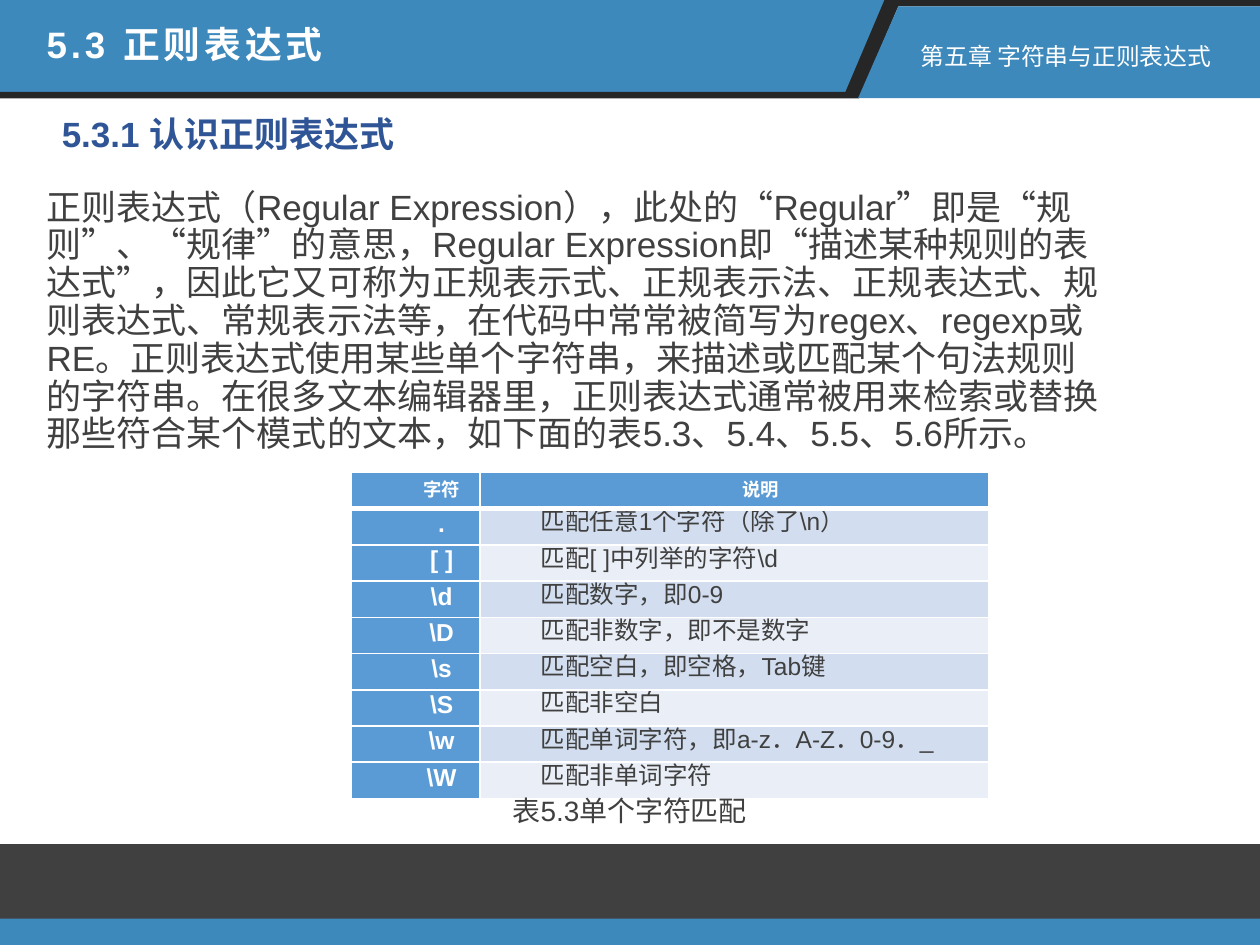
from lxml.etree import SubElement
from pptx import Presentation
from pptx.dml.color import RGBColor
from pptx.enum.shapes import MSO_SHAPE
from pptx.enum.text import MSO_ANCHOR, MSO_AUTO_SIZE, PP_ALIGN
from pptx.oxml.ns import qn
from pptx.util import Inches, Pt

COLORS = {
    "blue": "3D89BC", "black": "262626", "gray": "404040", "white": "FFFFFF",
    "heading": "2F5597", "key": "5B9BD5", "odd": "D2DEEF", "even": "EAEFF7",
}
FONT = "Arial"

BODY = (
    "正则表达式（Regular Expression），此处的“Regular”即是“规则”、“规律”的意思，"
    "Regular Expression即“描述某种规则的表达式”，因此它又可称为正规表示式、正规表示法、"
    "正规表达式、规则表达式、常规表示法等，在代码中常常被简写为regex、regexp或RE。"
    "正则表达式使用某些单个字符串，来描述或匹配某个句法规则的字符串。"
    "在很多文本编辑器里，正则表达式通常被用来检索或替换那些符合某个模式的文本，"
    "如下面的表5.3、5.4、5.5、5.6所示。"
)
ROWS = [
    ("字符", "说明"),
    (".", "匹配任意1个字符（除了\\n）"),
    ("[ ]", "匹配[ ]中列举的字符\\d"),
    ("\\d", "匹配数字，即0-9"),
    ("\\D", "匹配非数字，即不是数字"),
    ("\\s", "匹配空白，即空格，Tab键"),
    ("\\S", "匹配非空白"),
    ("\\w", "匹配单词字符，即a-z．A-Z．0-9．_"),
    ("\\W", "匹配非单词字符"),
]


def rgb(name):
    return RGBColor.from_string(COLORS[name])


def paint(shape, color):
    shape.shadow.inherit = False
    shape.fill.solid()
    shape.fill.fore_color.rgb = rgb(color)
    shape.line.fill.background()


def add_outline(slide, points, color):
    start, *rest = [(Inches(x), Inches(y)) for x, y in points]
    builder = slide.shapes.build_freeform(*start)
    builder.add_line_segments(rest, close=True)
    paint(builder.convert_to_shape(), color)


def add_band(slide, top, height, color):
    band = slide.shapes.add_shape(
        MSO_SHAPE.RECTANGLE, 0, Inches(top), Inches(10), Inches(height))
    paint(band, color)


def place(shape, left, top, width, height):
    shape.left, shape.top = Inches(left), Inches(top)
    shape.width, shape.height = Inches(width), Inches(height)


def write(paragraph, text, size, color, bold=False, align=PP_ALIGN.LEFT,
          margin=0, indent=0):
    paragraph.text = text
    paragraph.alignment = align
    font = paragraph.font
    font.name, font.size, font.bold = FONT, Pt(size), bold
    font.color.rgb = rgb(color)
    properties = paragraph._p.get_or_add_pPr()
    properties.set("marL", str(Inches(margin)))
    properties.set("indent", str(Inches(indent)))


def remove_bullet(paragraph):
    properties = paragraph._p.get_or_add_pPr()
    bullet = SubElement(properties, qn("a:buNone"))
    properties.find(qn("a:defRPr")).addprevious(bullet)


def add_label(slide, box, text, size, color, indent=0):
    label = slide.shapes.add_textbox(*map(Inches, box))
    frame = label.text_frame
    frame.word_wrap = True
    frame.vertical_anchor = MSO_ANCHOR.MIDDLE
    write(frame.paragraphs[0], text, size, color, indent=indent)


def fill_title(slide):
    title = slide.shapes.title
    place(title, 0.27, 0.12, 3.91, 0.45)
    frame = title.text_frame
    frame.auto_size = MSO_AUTO_SIZE.NONE
    frame.vertical_anchor = MSO_ANCHOR.TOP
    paragraph = frame.paragraphs[0]
    write(paragraph, "5.3 正则表达式", 21, "white", bold=True)
    paragraph.runs[0].font._element.set("spc", "220")


def fill_body(slide):
    body = slide.placeholders[1]
    place(body, 0.27, 0.95, 8.62, 5.83)
    frame = body.text_frame
    frame.auto_size = MSO_AUTO_SIZE.NONE
    heading, text = frame.paragraphs[0], frame.add_paragraph()
    write(heading, "5.3.1 认识正则表达式", 20, "heading", bold=True, margin=0.12)
    write(text, BODY, 20, "gray")
    heading.line_spacing, text.line_spacing = Pt(16.5), 0.9
    heading.space_after, text.space_after = Pt(10), Pt(0)
    for paragraph in (heading, text):
        paragraph.space_before = Pt(10)
        remove_bullet(paragraph)


def add_borders(cell, bottom):
    properties = cell._tc.get_or_add_tcPr()
    for side, width in (("L", 1), ("R", 1), ("T", 1), ("B", bottom)):
        line = SubElement(properties, qn(f"a:ln{side}"), w=str(Pt(width)))
        fill = SubElement(line, qn("a:solidFill"))
        SubElement(fill, qn("a:srgbClr"), val=COLORS["white"])


def fill_cell(cell, text, row, column):
    is_header, is_key = row == 0, row == 0 or column == 0
    cell.margin_left = cell.margin_right = Inches(0.07)
    cell.margin_top = cell.margin_bottom = 0
    add_borders(cell, 3 if is_header else 1)
    cell.fill.solid()
    cell.fill.fore_color.rgb = rgb("key" if is_key else "odd" if row % 2 else "even")
    paragraph = cell.text_frame.paragraphs[0]
    write(paragraph, text, 10.5 if is_header else 14,
          "white" if is_key else "gray", bold=is_key,
          align=PP_ALIGN.CENTER if is_key else PP_ALIGN.JUSTIFY,
          margin=0.12, indent=0.29)
    paragraph.line_spacing = Pt(16.7)


def add_character_table(slide):
    frame = slide.shapes.add_table(
        len(ROWS), 2, Inches(2.79), Inches(3.75), Inches(5.06), Inches(2.59))
    table = frame.table
    for column, width in zip(table.columns, (1.02, 4.04)):
        column.width = Inches(width)
    for row, texts in enumerate(ROWS):
        for column, text in enumerate(texts):
            fill_cell(table.cell(row, column), text, row, column)


def main():
    presentation = Presentation()
    presentation.slide_width, presentation.slide_height = Inches(10), Inches(7.5)
    slide = presentation.slides.add_slide(presentation.slide_layouts[1])

    # Header banner and footer bands
    add_outline(slide, [(0, 0), (7.05, 0), (6.74, 0.73), (0, 0.73)], "blue")
    add_outline(slide, [(7.02, 0), (10, 0), (10, 0.05), (7.13, 0.05), (6.82, 0.78),
                        (0, 0.78), (0, 0.73), (6.71, 0.73)], "black")
    add_outline(slide, [(7.13, 0.05), (10, 0.05), (10, 0.78), (6.81, 0.78)], "blue")
    add_band(slide, 6.7, 0.6, "gray")
    add_band(slide, 7.29, 0.21, "blue")

    # Placeholders, brought in front of the bands
    for placeholder in (slide.placeholders[1], slide.shapes.title):
        slide.shapes._spTree.append(placeholder._element)
    fill_body(slide)
    fill_title(slide)
    add_label(slide, (7.21, 0.28, 2.79, 0.33), "第五章 字符串与正则表达式", 13.6, "white")

    # Table and caption
    add_character_table(slide)
    add_label(slide, (3.68, 6.25, 2.74, 0.37), "表5.3单个字符匹配", 16, "gray", indent=0.29)

    presentation.save("out.pptx")


if __name__ == "__main__":
    main()
